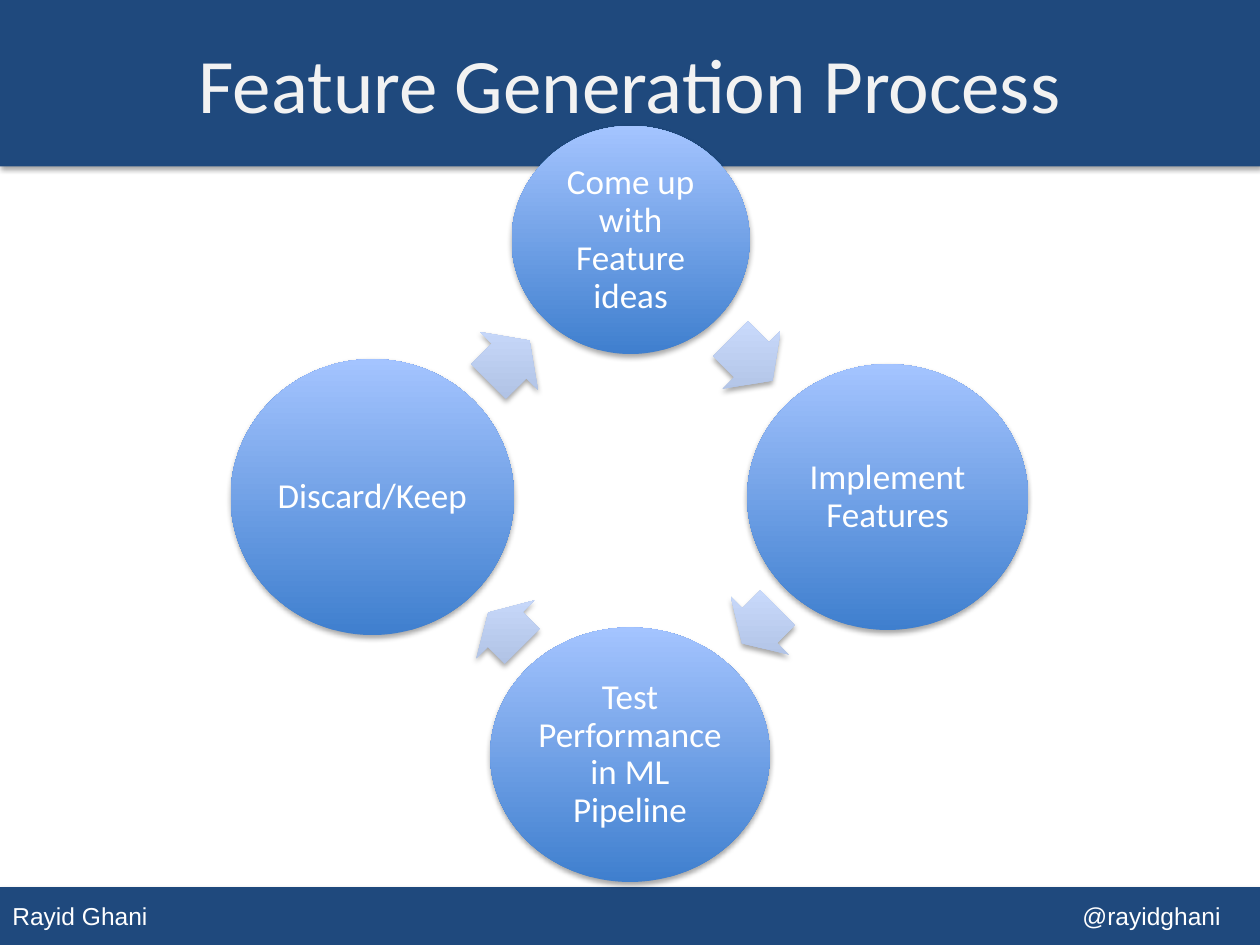
from dataclasses import dataclass

from lxml.etree import SubElement
from pptx import Presentation
from pptx.dml.color import RGBColor
from pptx.enum.shapes import MSO_SHAPE
from pptx.enum.text import MSO_ANCHOR, PP_ALIGN
from pptx.oxml.ns import qn
from pptx.util import Inches, Pt


@dataclass(frozen=True)
class Theme:
    navy: str = "1F497D"
    white: str = "FFFFFF"
    title: str = "F2F2F2"
    circle: tuple = ("3F7FCE", "A4C4FF")
    arrow: tuple = ("ADBFE1", "CCDDFF")
    head: int = 44
    body: int = 20
    foot: int = 14


theme = Theme()
deck = Presentation()
deck.slide_width, deck.slide_height = Inches(10), Inches(7.5)
slide = deck.slides.add_slide(deck.slide_layouts[6])


def draw(kind, box, paint):
    """Add a shadowed shape; paint is one colour or a (bottom, top) pair."""
    shape = slide.shapes.add_shape(kind, *map(Inches, box))
    shape.line.fill.background()
    props = shape._element.spPr
    if isinstance(paint, str):
        shape.fill.solid()
        shape.fill.fore_color.rgb = RGBColor.from_string(paint)
    else:
        shape.fill.gradient()
        shape.fill.gradient_angle = 90
        for stop, tone in zip(shape.fill.gradient_stops, paint):
            stop.color.rgb = RGBColor.from_string(tone)
        props.find(qn("a:gradFill")).set("rotWithShape", "0")
    shape.shadow.inherit = False
    shadow = SubElement(props.find(qn("a:effectLst")), qn("a:outerShdw"),
                        blurRad=str(Pt(3.1)), dist=str(Pt(1.8)),
                        dir="5400000", rotWithShape="0")
    black = SubElement(shadow, qn("a:srgbClr"), val="000000")
    SubElement(black, qn("a:alpha"), val="35000")
    return shape


def write(shape, text, size, color, font="Calibri", align=PP_ALIGN.CENTER):
    frame = shape.text_frame
    frame.text = text
    frame.word_wrap = True
    frame.vertical_anchor = MSO_ANCHOR.MIDDLE
    line = frame.paragraphs[0]
    line.alignment = align
    for run in line.runs:
        run.font.name, run.font.size = font, Pt(size)
        run.font.color.rgb = RGBColor.from_string(color)
    return frame


# Footer, with the handle on a right-aligned tab stop
foot = draw(MSO_SHAPE.RECTANGLE, (0, 7.04, 10, 0.46), theme.navy)
frame = write(foot, "Rayid Ghani\t@rayidghani", theme.foot, theme.white,
              "Arial", PP_ALIGN.LEFT)
tabs = SubElement(frame.paragraphs[0]._p.get_or_add_pPr(), qn("a:tabLst"))
SubElement(tabs, qn("a:tab"), pos=str(Inches(9.59)), algn="r")

draw(MSO_SHAPE.RECTANGLE, (0, 0, 10, 1.32), theme.navy)

# Cycle: each step's circle, then the arrow to the next step
steps = [
    ("Come up with Feature ideas", (4.06, 1, 1.89, 1.81),
     (5.73, 2.53, 0.47, 0.65)),
    ("Implement Features", (5.93, 2.89, 2.23, 2.11),
     (5.83, 4.64, 0.4, 0.65)),
    ("Test Performance in ML Pipeline", (3.89, 4.98, 2.22, 2.02),
     (3.82, 4.67, 0.38, 0.65)),
    ("Discard/Keep", (1.83, 2.85, 2.25, 2.19),
     (3.81, 2.54, 0.46, 0.65)),
]
for i, (label, ring, link) in enumerate(steps):
    circle = draw(MSO_SHAPE.OVAL, ring, theme.circle)
    frame = write(circle, label, theme.body, theme.white)
    frame.margin_left = frame.margin_right = Inches(0.03)
    frame.margin_top = frame.margin_bottom = Inches(0.03)
    frame.paragraphs[0].line_spacing = 0.9

    arrow = draw(MSO_SHAPE.RIGHT_ARROW, link, theme.arrow)
    arrow.adjustments[0], arrow.adjustments[1] = 0.6, 0.5
    arrow.rotation = 45 + 90 * i

title = slide.shapes.add_textbox(*map(Inches, (0, 0.03, 10, 1.25)))
write(title, "Feature Generation Process", theme.head, theme.title)

deck.save("out.pptx")
